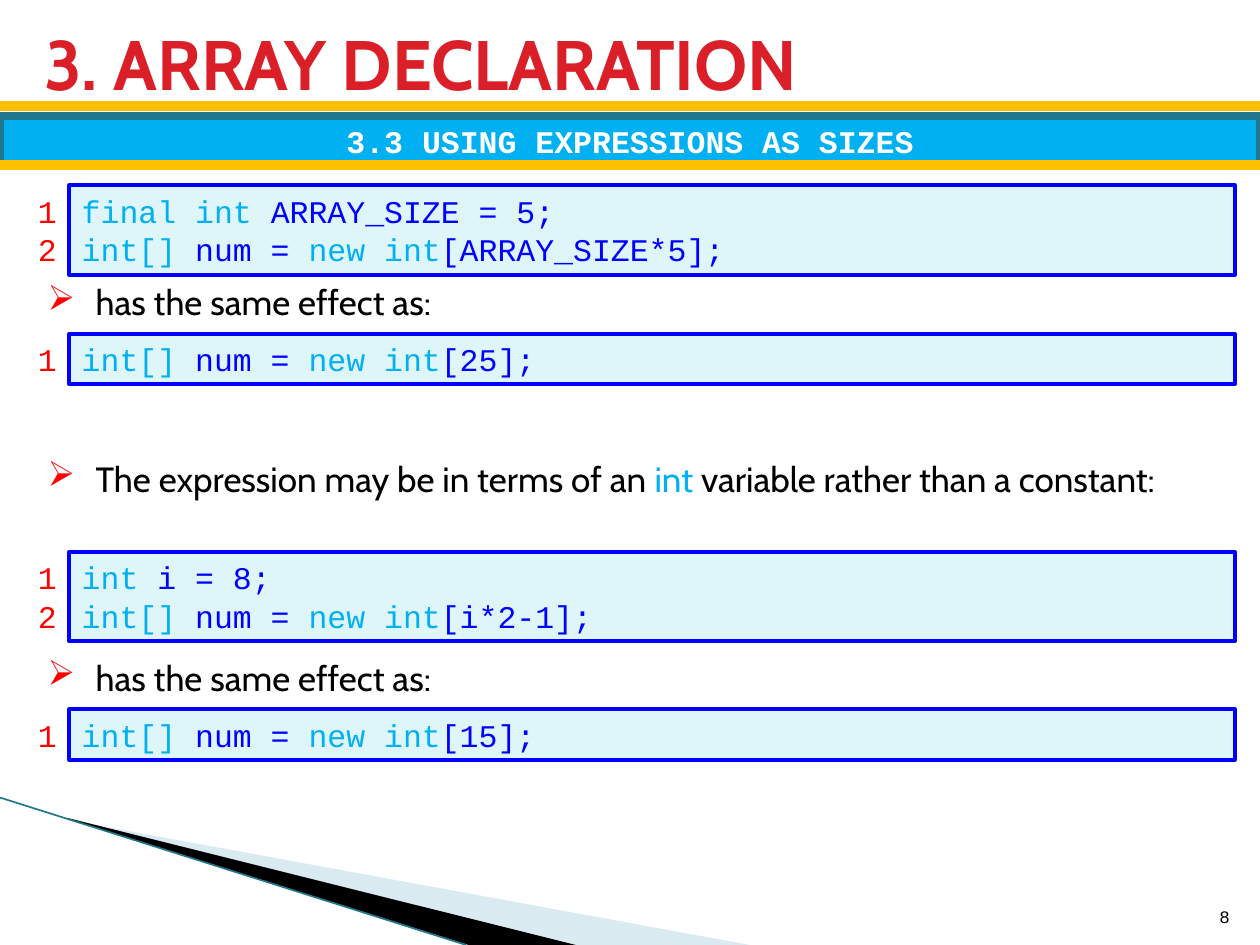
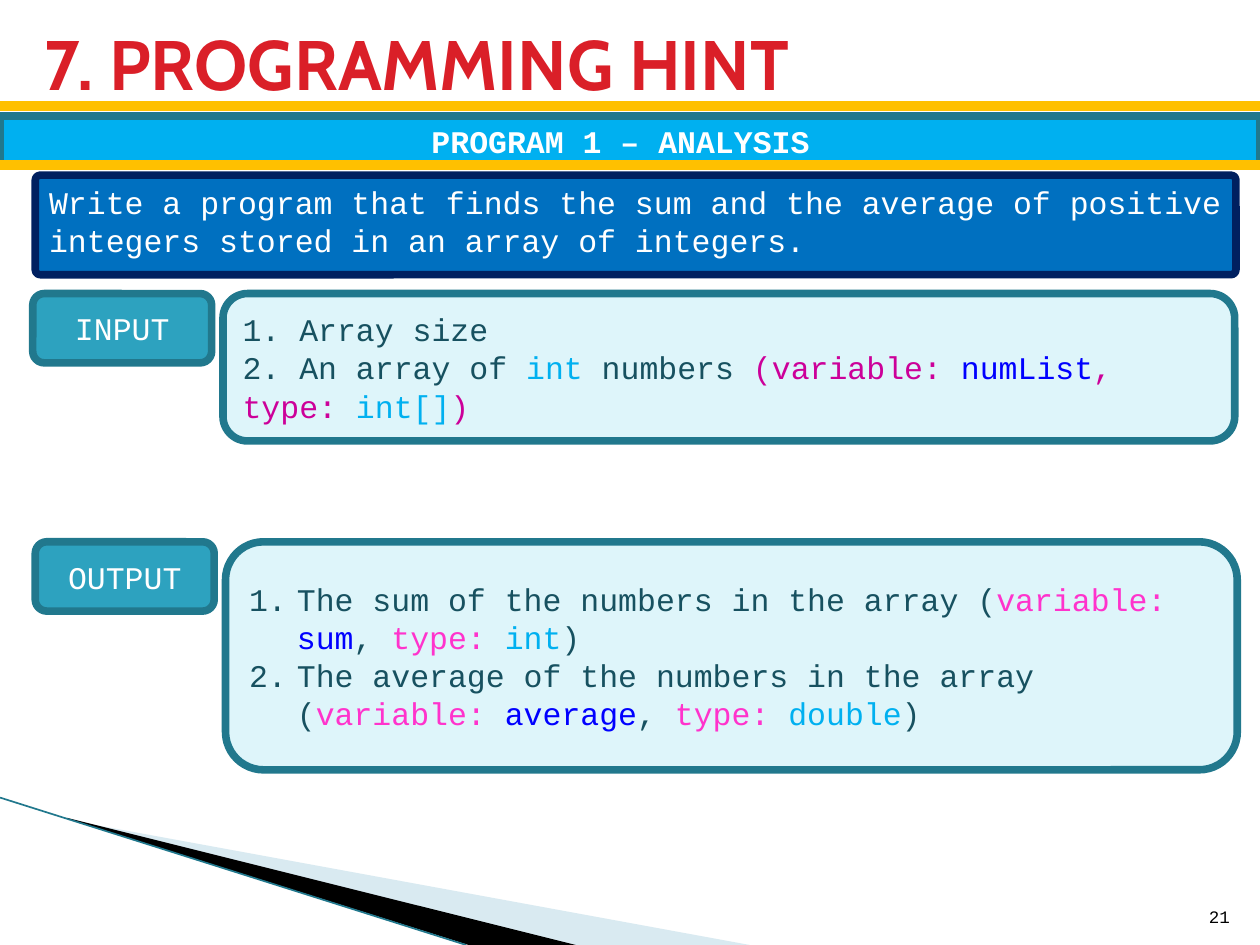
from dataclasses import dataclass

import lxml.etree
import pptx
import pptx.dml.color
import pptx.enum.shapes
import pptx.enum.text
import pptx.oxml.ns
import pptx.util

Inches = pptx.util.Inches
Pt = pptx.util.Pt
RGBColor = pptx.dml.color.RGBColor
Align = pptx.enum.text.PP_ALIGN
Anchor = pptx.enum.text.MSO_ANCHOR
Kind = pptx.enum.shapes.MSO_SHAPE
qn = pptx.oxml.ns.qn

# Colours
RED = RGBColor(0xDA, 0x1F, 0x28)
BRIGHT = RGBColor(0xFF, 0x00, 0x00)
GOLD = RGBColor(0xFF, 0xC0, 0x00)
SKY = RGBColor(0x00, 0xB0, 0xF0)
TEAL = RGBColor(0x21, 0x78, 0x8D)
AQUA = RGBColor(0x2D, 0xA2, 0xBF)
PALE = RGBColor(0xDE, 0xF5, 0xFA)
MIST = RGBColor(0xA0, 0xCB, 0xDC)
BLUE = RGBColor(0x00, 0x00, 0xFF)
ROYAL = RGBColor(0x00, 0x70, 0xC0)
NAVY = RGBColor(0x00, 0x20, 0x60)
INK = RGBColor(0x17, 0x51, 0x60)
PLUM = RGBColor(0xCC, 0x00, 0x99)
PINK = RGBColor(0xFF, 0x33, 0xCC)
BLACK = RGBColor(0x00, 0x00, 0x00)
WHITE = RGBColor(0xFF, 0xFF, 0xFF)

SANS, MONO = "Cabin", "Courier New"
LEAD = 21.8  # line pitch of 18 pt code text
BORDER = 4.33

Run = tuple[str, RGBColor]
Line = list[Run]


@dataclass
class Style:
    font: str = MONO
    size: int = 18
    bold: bool = False
    align: Align = Align.LEFT
    anchor: Anchor = Anchor.TOP
    mark: str = ""  # "➢" or "1." for a list


@dataclass
class Box:
    left: float
    top: float
    width: float
    height: float

    def place(self) -> tuple:
        return tuple(Inches(v) for v in (self.left, self.top, self.width, self.height))


@dataclass
class Look:
    fill: RGBColor
    edge: RGBColor
    weight: float = BORDER
    kind: Kind = Kind.ROUNDED_RECTANGLE


@dataclass
class Code:
    top: float
    height: float
    lines: list[Line]


@dataclass
class Point:
    top: float
    height: float
    runs: Line
    align: Align = Align.LEFT


PLAIN = Style()
MID = Style(anchor=Anchor.MIDDLE)
LABEL = Style(align=Align.CENTER, anchor=Anchor.MIDDLE)
HEAD = Style(SANS, 40, True, anchor=Anchor.MIDDLE)
BAND = Style(bold=True, align=Align.CENTER, anchor=Anchor.MIDDLE)
FOOT = Style(size=10, align=Align.RIGHT, anchor=Anchor.BOTTOM)
COUNT = Style(align=Align.RIGHT)
LIST = Style(anchor=Anchor.MIDDLE, mark="1.")
PANEL = Look(PALE, TEAL)


# Text
def add_mark(para, mark: str) -> None:
    props = para._p.get_or_add_pPr()
    props.set("marL", str(Inches(0.38)))
    props.set("indent", str(-Inches(0.38)))
    if mark == "1.":
        auto = lxml.etree.SubElement(props, qn("a:buAutoNum"))
        auto.set("type", "arabicPeriod")
        return
    tint = lxml.etree.SubElement(props, qn("a:buClr"))
    lxml.etree.SubElement(tint, qn("a:srgbClr")).set("val", str(BRIGHT))
    lxml.etree.SubElement(props, qn("a:buChar")).set("char", mark)


def write(shape, lines: list[Line], style: Style) -> None:
    frame = shape.text_frame
    frame.word_wrap = True
    frame.auto_size = pptx.enum.text.MSO_AUTO_SIZE.NONE
    frame.vertical_anchor = style.anchor
    for i, line in enumerate(lines):
        para = frame.add_paragraph() if i else frame.paragraphs[0]
        para.alignment = style.align
        if style.font == MONO and style.size == 18:
            para.line_spacing = Pt(LEAD)
        if style.mark:
            add_mark(para, style.mark)
        para.font.name = style.font
        para.font.size = Pt(style.size)
        para.font.bold = style.bold
        for text, tint in line:
            run = para.add_run()
            run.text = text
            run.font.color.rgb = tint


def add_text(slide, box: Box, lines: list[Line], style: Style) -> None:
    write(slide.shapes.add_textbox(*box.place()), lines, style)


# Shapes
def add_box(slide, box: Box, look: Look, lines: list[Line], style: Style):
    shape = slide.shapes.add_shape(look.kind, *box.place())
    shape.shadow.inherit = False
    shape.fill.solid()
    shape.fill.fore_color.rgb = look.fill
    shape.line.color.rgb = look.edge
    shape.line.width = Pt(look.weight)
    write(shape, lines, style)
    return shape


def add_line(slide, start: tuple, end: tuple, tint: RGBColor, weight: float) -> None:
    ends = [Inches(v) for v in (*start, *end)]
    line = slide.shapes.add_connector(pptx.enum.shapes.MSO_CONNECTOR.STRAIGHT, *ends)
    line.line.color.rgb = tint
    line.line.width = Pt(weight)
    lxml.etree.SubElement(line._element.spPr, qn("a:effectLst"))


def add_wedge(slide, spots: list[tuple], tint: RGBColor, alpha: int = 100) -> None:
    first, *rest = [(Inches(x), Inches(y)) for x, y in spots]
    form = slide.shapes.build_freeform(*first)
    form.add_line_segments(rest, close=True)
    shape = form.convert_to_shape()
    shape.shadow.inherit = False
    shape.fill.solid()
    shape.fill.fore_color.rgb = tint
    shape.line.fill.background()
    if alpha < 100:
        node = shape._element.spPr.find(".//" + qn("a:srgbClr"))
        lxml.etree.SubElement(node, qn("a:alpha")).set("val", str(alpha * 1000))


# Shared frame of every slide
def add_frame(deck, title: str, band: str, page: int):
    slide = deck.slides.add_slide(deck.slide_layouts[5])
    add_wedge(slide, [(0.55, 6.51), (5.95, 7.5), (4.56, 7.5), (0.55, 6.5)], MIST, 40)
    add_wedge(slide, [(0.53, 6.49), (4.57, 7.5), (3.72, 7.5), (0.54, 6.5)], BLACK)
    add_line(slide, (0, 6.33), (3.7, 7.5), TEAL, 0.95)
    add_line(slide, (0, 0.84), (10, 0.84), GOLD, 6)
    head = slide.shapes.title
    head.left, head.top, head.width, head.height = Box(0.25, 0.17, 9.47, 0.65).place()
    write(head, [[(title, RED)]], HEAD)
    bar = Look(SKY, TEAL, kind=Kind.RECTANGLE)
    add_box(slide, Box(0, 0.92, 10, 0.39), bar, [[(band, WHITE)]], BAND)
    add_line(slide, (0, 1.31), (10, 1.31), GOLD, 6)
    add_text(slide, Box(9.46, 7.01, 0.4, 0.4), [[(str(page), BLACK)]], FOOT)
    return slide


# Slide on sizes
def array(size: str) -> Line:
    return [("int[] ", SKY), ("num = ", BLUE), ("new int", SKY), (f"[{size}];", BLUE)]


def add_code(slide, code: Code) -> None:
    look = Look(PALE, BLUE, 2.25, Kind.RECTANGLE)
    add_box(slide, Box(0.55, code.top, 9.25, code.height), look, code.lines, PLAIN)
    count = [[(str(n), BRIGHT)] for n in range(1, len(code.lines) + 1)]
    add_text(slide, Box(0.2, code.top, 0.35, code.height), count, COUNT)


def add_point(slide, point: Point) -> None:
    style = Style(SANS, 20, align=point.align, mark="➢")
    add_text(slide, Box(0.28, point.top, 9.45, point.height), [point.runs], style)


def sizes(deck) -> None:
    slide = add_frame(deck, "3. ARRAY DECLARATION", "3.3 USING EXPRESSIONS AS SIZES", 8)
    same = [("has the same effect as:", BLACK)]
    terms = [
        ("The expression may be in terms of an ", BLACK),
        ("int ", SKY),
        ("variable rather than a constant:", BLACK),
    ]
    const = [("final int", SKY), (" ARRAY_SIZE = 5;", BLUE)]
    var = [("int ", SKY), ("i = 8;", BLUE)]
    for code in (
        Code(1.47, 0.71, [const, array("ARRAY_SIZE*5")]),
        Code(2.65, 0.4, [array("25")]),
        Code(4.38, 0.71, [var, array("i*2-1")]),
        Code(5.63, 0.4, [array("15")]),
    ):
        add_code(slide, code)
    for point in (
        Point(2.18, 0.44, same),
        Point(3.58, 0.77, terms, Align.JUSTIFY),
        Point(5.16, 0.44, same),
    ):
        add_point(slide, point)


# Slide on the hint
def result(lead: str, name: str, kind: str) -> Line:
    return [
        (lead + " (", INK),
        ("variable: ", PINK),
        (name, BLUE),
        (", ", INK),
        ("type: ", PINK),
        (kind, SKY),
        (")", INK),
    ]


def add_part(slide, left: float, top: float, height: float, name: str,
             lines: list[Line], style: Style) -> None:
    tag = Look(AQUA, TEAL)
    add_box(slide, Box(left, top, 1.42, 0.55), tag, [[(name, WHITE)]], LABEL)
    add_box(slide, Box(left + 1.51, top, 8.03, height), PANEL, lines, style)


def hint(deck) -> None:
    slide = add_frame(deck, "7. PROGRAMMING HINT", "PROGRAM 1 – ANALYSIS ", 21)
    task = ("Write a program that finds the sum and the average of positive "
            "integers stored in an array of integers.")
    card = add_box(slide, Box(0.28, 1.39, 9.53, 0.79), Look(ROYAL, NAVY),
                   [[(task, WHITE)]], PLAIN)
    card.adjustments[0] = 0.05
    needs = [
        [("1. Array size", INK)],
        [
            ("2. An array of ", INK),
            ("int", SKY),
            (" numbers ", INK),
            ("(variable: ", PLUM),
            ("numList", BLUE),
            (", type: ", PLUM),
            ("int[]", SKY),
            (")", PLUM),
        ],
    ]
    gives = [
        result("The sum of the numbers in the array", "sum", "int"),
        result("The average of the numbers in the array", "average", "double"),
    ]
    add_part(slide, 0.26, 2.33, 1.17, "INPUT", needs, MID)
    add_part(slide, 0.28, 4.3, 1.81, "OUTPUT", gives, LIST)


def main() -> None:
    deck = pptx.Presentation()
    deck.slide_width, deck.slide_height = Inches(10), Inches(7.5)
    sizes(deck)
    hint(deck)
    deck.save("out.pptx")


if __name__ == "__main__":
    main()
